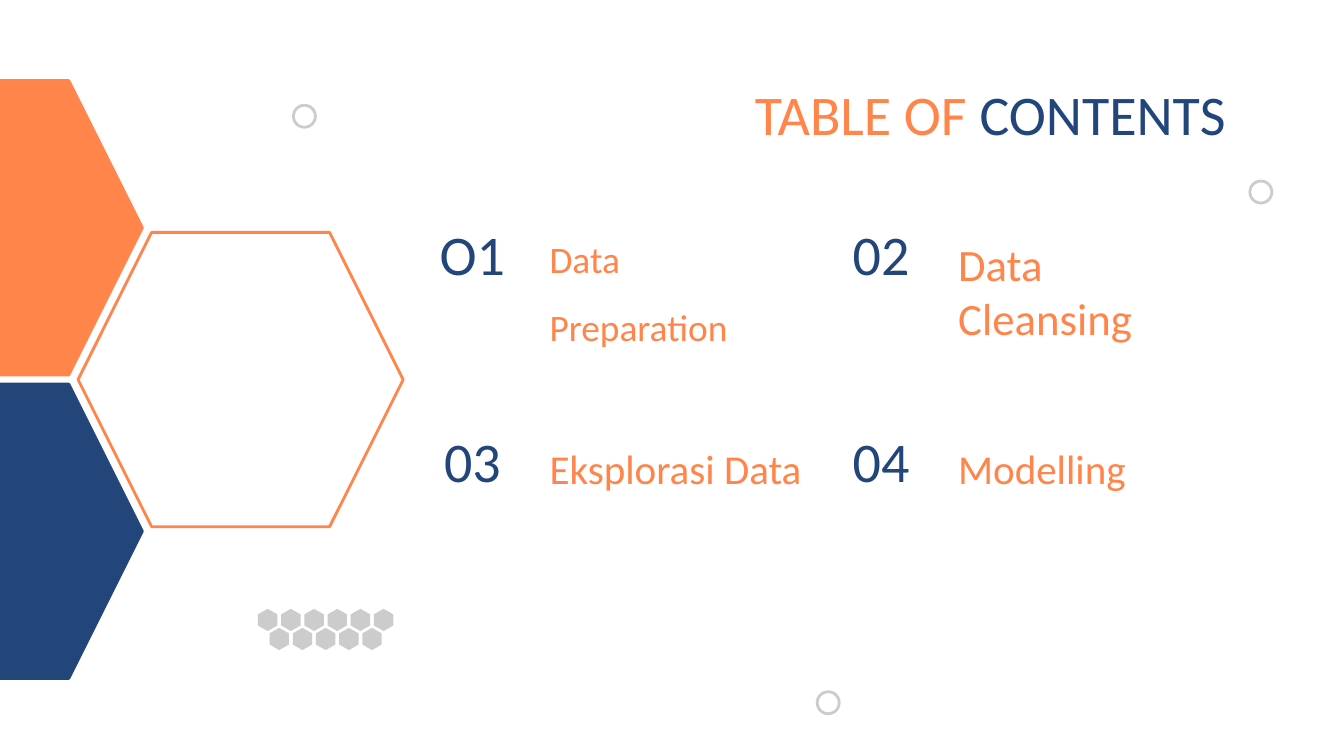
from pptx import Presentation
from pptx.dml.color import RGBColor
from pptx.enum.shapes import MSO_SHAPE as Shape
from pptx.enum.text import MSO_ANCHOR as Anchor, MSO_AUTO_SIZE as AutoSize, PP_ALIGN as Align
from pptx.util import Pt

ORANGE = RGBColor(0xFF, 0x85, 0x4A)
NAVY = RGBColor(0x22, 0x46, 0x7A)
GREY = RGBColor(0xCC, 0xCC, 0xCC)
FONT = "Calibri"
MARGIN = 7.2


def set_frame(tf, anchor):
    tf.word_wrap = True
    tf.auto_size = AutoSize.NONE
    tf.vertical_anchor = anchor
    tf.margin_left = tf.margin_top = tf.margin_right = tf.margin_bottom = Pt(MARGIN)


def add_run(p, text, size, color):
    r = p.add_run()
    r.text = text
    r.font.name = FONT
    r.font.size = Pt(size)
    r.font.color.rgb = color


def add_text(slide, box, lines, size, color, align=Align.LEFT, anchor=Anchor.TOP, after=0):
    tf = slide.shapes.add_textbox(*map(Pt, box)).text_frame
    set_frame(tf, anchor)
    for i, line in enumerate(lines):
        p = tf.paragraphs[0] if i == 0 else tf.add_paragraph()
        p.alignment = align
        p.space_after = Pt(after)
        add_run(p, line, size, color)


def paint(sp, fill=None, line=None):
    """Give a shape a plain fill and outline, or none of either."""
    sp.shadow.inherit = False
    if fill is None:
        sp.fill.background()
    else:
        sp.fill.solid()
        sp.fill.fore_color.rgb = fill
    if line is None:
        sp.line.fill.background()
    else:
        sp.line.color.rgb = line
        sp.line.width = Pt(1.5)


def add_title(slide, left, top, width, height):
    title = slide.shapes.title
    title.left, title.top, title.width, title.height = map(Pt, (left, top, width, height))
    set_frame(title.text_frame, Anchor.TOP)
    p = title.text_frame.paragraphs[0]
    p.alignment = Align.RIGHT
    add_run(p, "TABLE OF ", 30, ORANGE)
    add_run(p, "CONTENTS", 30, NAVY)


def add_entry(slide, left, top, number, lines, size):
    """Place one numbered entry of the contents."""
    number_width = 68.4
    add_text(slide, (left, top, number_width, 32.4), [number], 30, NAVY,
             Align.CENTER, Anchor.MIDDLE)
    add_text(slide, (left + number_width, top, 150.5, 36), lines, size, ORANGE, after=12)


def add_contents(slide, left, top):
    entries = [
        ("O1", ["Data", "Preparation"], 20),
        ("02", ["Data Cleansing"], 24),
        ("03", ["Eksplorasi Data"], 22),
        ("04", ["Modelling"], 22),
    ]
    for i, entry in enumerate(entries):
        row, col = divmod(i, 2)
        add_entry(slide, left + col * 218.9, top + row * 110.9, *entry)


def add_large_hexagons(slide, left, top):
    width, height = 174.2, 157.7
    step_x, step_y = 139.7, 81.3
    for col, row, fill, line in [(0, 0, ORANGE, ORANGE), (1, 1, None, ORANGE),
                                 (0, 2, NAVY, NAVY)]:
        sp = slide.shapes.add_shape(Shape.HEXAGON, Pt(left + col * step_x),
                                    Pt(top + row * step_y), Pt(width), Pt(height))
        sp.adjustments[0] = 0.25
        paint(sp, fill, line)


def add_honeycomb(slide, left, top):
    """Two staggered rows of small upright hexagons, in one group."""
    width, height = 10.4, 11.9
    step_x, step_y = 12.42, 10.2
    outline = [(0.5, 0), (0, 0.25), (0, 0.75), (0.5, 1), (1, 0.75), (1, 0.25)]
    group = slide.shapes.add_group_shape()
    for row, count in enumerate((6, 5)):
        for col in range(count):
            x = left + (col + row / 2) * step_x
            y = top + row * step_y
            points = [(Pt(x + u * width), Pt(y + v * height)) for u, v in outline]
            builder = group.shapes.build_freeform(*points[0])
            builder.add_line_segments(points[1:], close=True)
            paint(builder.convert_to_shape(), fill=GREY)


def add_rings(slide, places):
    size = 11.8
    for left, top in places:
        sp = slide.shapes.add_shape(Shape.OVAL, Pt(left), Pt(top), Pt(size), Pt(size))
        paint(sp, line=GREY)


def main():
    prs = Presentation()
    prs.slide_width, prs.slide_height = Pt(720), Pt(405)
    slide = prs.slides.add_slide(prs.slide_layouts[5])
    add_title(slide, 56.2, 35.3, 607.6, 45.4)
    add_contents(slide, 218.9, 119.5)
    add_large_hexagons(slide, -97.9, 43.2)
    add_honeycomb(slide, 138.2, 326.2)
    add_rings(slide, [(437.8, 370.6), (157.2, 56.4), (669.6, 97)])
    prs.save("out.pptx")


if __name__ == "__main__":
    main()
